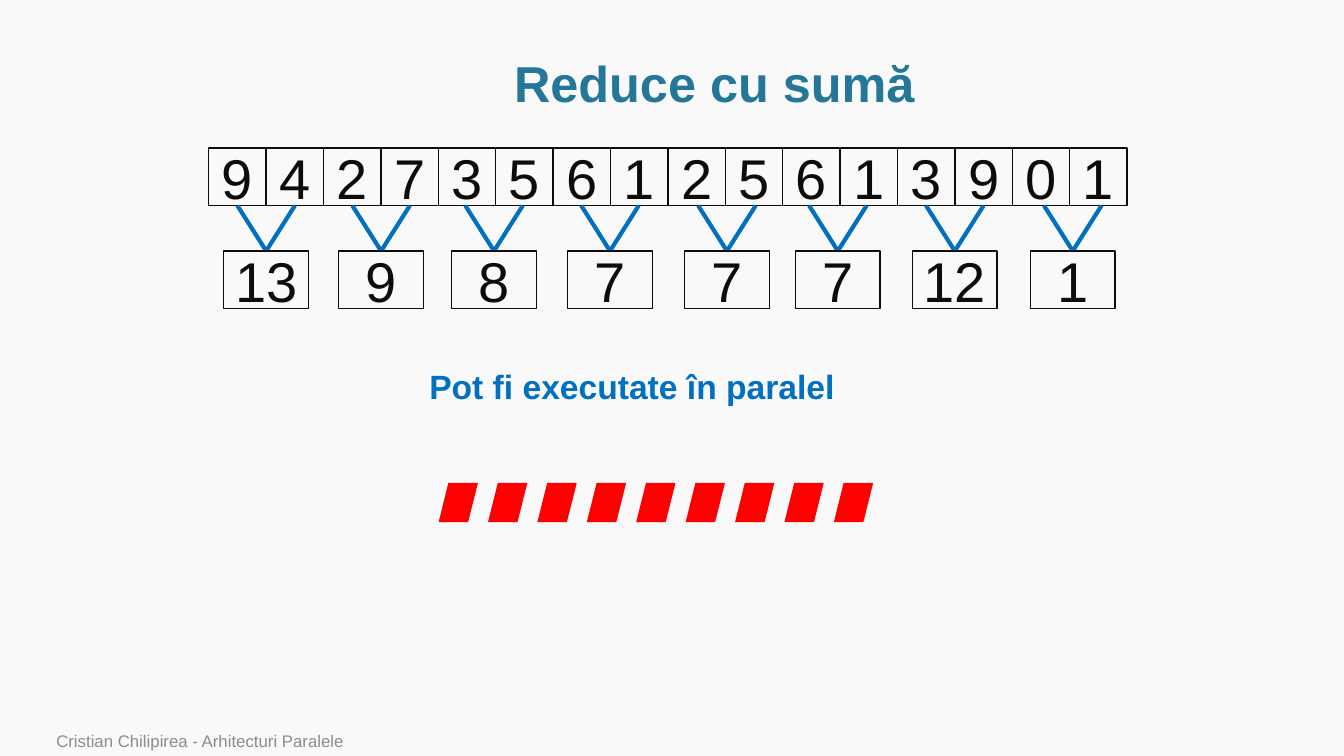
from dataclasses import dataclass

from lxml import etree
from pptx import Presentation
from pptx import util as u
from pptx.dml.color import RGBColor
from pptx.enum import shapes, text
from pptx.oxml.ns import qn


@dataclass(frozen=True)
class Theme:
    font: str = "Arial"
    background: str = "F9F9F9"
    title: str = "247798"
    ink: str = "0C0C0C"
    accent: str = "0070C0"
    worker: str = "FF0000"
    footer: str = "8C8C8C"
    title_size: int = 36
    digit_size: int = 40
    note_size: int = 24
    footer_size: int = 12


@dataclass(frozen=True)
class Box:
    left: float
    top: float
    width: float
    height: float

    def emu(self) -> list[int]:
        return [u.Inches(v) for v in (self.left, self.top, self.width, self.height)]


@dataclass(frozen=True)
class Label:
    words: str
    box: Box
    size: int
    color: str
    bold: bool = False
    align: text.PP_ALIGN = text.PP_ALIGN.LEFT
    anchor: text.MSO_ANCHOR = text.MSO_ANCHOR.TOP
    wrap: bool = True
    spacing: float = 1.0


THEME = Theme()
VALUES = [9, 4, 2, 7, 3, 5, 6, 1, 2, 5, 6, 1, 3, 9, 0, 1]
SUM_CENTERS = [2.64, 3.78, 4.9, 6.05, 7.21, 8.31, 9.47, 10.64]
ROW_LEFT, ROW_TOP, CELL = 2.07, 1.47, 0.57
SUM_TOP, SUM_WIDTH = 2.49, 0.84
WORKERS, WORKER_LEFT, WORKER_TOP, WORKER_SIZE, WORKER_STEP = 9, 4.35, 4.79, 0.39, 0.49

LABELS = [
    Label("Reduce cu sumă", Box(1.14, 0.51, 11.89, 0.69), THEME.title_size, THEME.title,
          bold=True, align=text.PP_ALIGN.CENTER, anchor=text.MSO_ANCHOR.MIDDLE, spacing=0.9),
    Label("Pot fi executate în paralel", Box(4.16, 3.58, 4.26, 0.5), THEME.note_size,
          THEME.accent, bold=True, wrap=False),
    Label("Cristian Chilipirea - Arhitecturi Paralele", Box(0.46, 7.22, 9.82, 0.28),
          THEME.footer_size, THEME.footer, anchor=text.MSO_ANCHOR.BOTTOM),
]


def rgb(color: str) -> RGBColor:
    return RGBColor.from_string(color)


def write(sp, words: str, size: int, color: str, bold: bool, align, anchor):
    tf = sp.text_frame
    tf.word_wrap = True
    tf.vertical_anchor = anchor
    p = tf.paragraphs[0]
    p.text = words
    p.alignment = align
    font = p.runs[0].font
    font.name, font.size, font.bold = THEME.font, u.Pt(size), bold
    font.color.rgb = rgb(color)
    return tf


def add_label(s, label: Label) -> None:
    sp = s.shapes.add_textbox(*label.box.emu())
    tf = write(sp, label.words, label.size, label.color, label.bold, label.align, label.anchor)
    tf.word_wrap = label.wrap
    tf.paragraphs[0].line_spacing = label.spacing


def add_cell(s, value: int, box: Box) -> None:
    sp = s.shapes.add_shape(shapes.MSO_SHAPE.RECTANGLE, *box.emu())
    sp.shadow.inherit = False
    sp.fill.background()
    sp.line.color.rgb = rgb(THEME.ink)
    sp.line.width = u.Pt(1)
    write(sp, str(value), THEME.digit_size, THEME.ink, False,
          text.PP_ALIGN.CENTER, text.MSO_ANCHOR.MIDDLE)


def add_link(s, x1: float, y1: float, x2: float, y2: float) -> None:
    ends = [u.Inches(v) for v in (x1, y1, x2, y2)]
    line = s.shapes.add_connector(shapes.MSO_CONNECTOR.STRAIGHT, *ends)
    line.line.color.rgb = rgb(THEME.accent)
    line.line.width = u.Pt(3)
    etree.SubElement(line._element.spPr, qn("a:effectLst"))


def add_worker(s, box: Box) -> None:
    sp = s.shapes.add_shape(shapes.MSO_SHAPE.PARALLELOGRAM, *box.emu())
    sp.shadow.inherit = False
    sp.fill.solid()
    sp.fill.fore_color.rgb = rgb(THEME.worker)
    sp.line.fill.background()


def main() -> None:
    prs = Presentation()
    prs.slide_width, prs.slide_height = u.Inches(13.33), u.Inches(7.5)
    s = prs.slides.add_slide(prs.slide_layouts[6])
    s.background.fill.solid()
    s.background.fill.fore_color.rgb = rgb(THEME.background)

    # Title, note and footer
    for label in LABELS:
        add_label(s, label)

    # Input row
    pitch = 0.5693
    for i, value in enumerate(VALUES):
        add_cell(s, value, Box(ROW_LEFT + i * pitch, ROW_TOP, CELL, CELL))

    # Pairwise sums, each joined to its two inputs
    for center, a, b in zip(SUM_CENTERS, VALUES[::2], VALUES[1::2]):
        for side in (-1, 1):
            add_link(s, center + side * CELL / 2, ROW_TOP + CELL, center, SUM_TOP)
        add_cell(s, a + b, Box(center - SUM_WIDTH / 2, SUM_TOP, SUM_WIDTH, CELL))

    # Parallel workers
    for i in range(WORKERS):
        add_worker(s, Box(WORKER_LEFT + i * WORKER_STEP, WORKER_TOP, WORKER_SIZE, WORKER_SIZE))

    prs.save("out.pptx")


if __name__ == "__main__":
    main()
